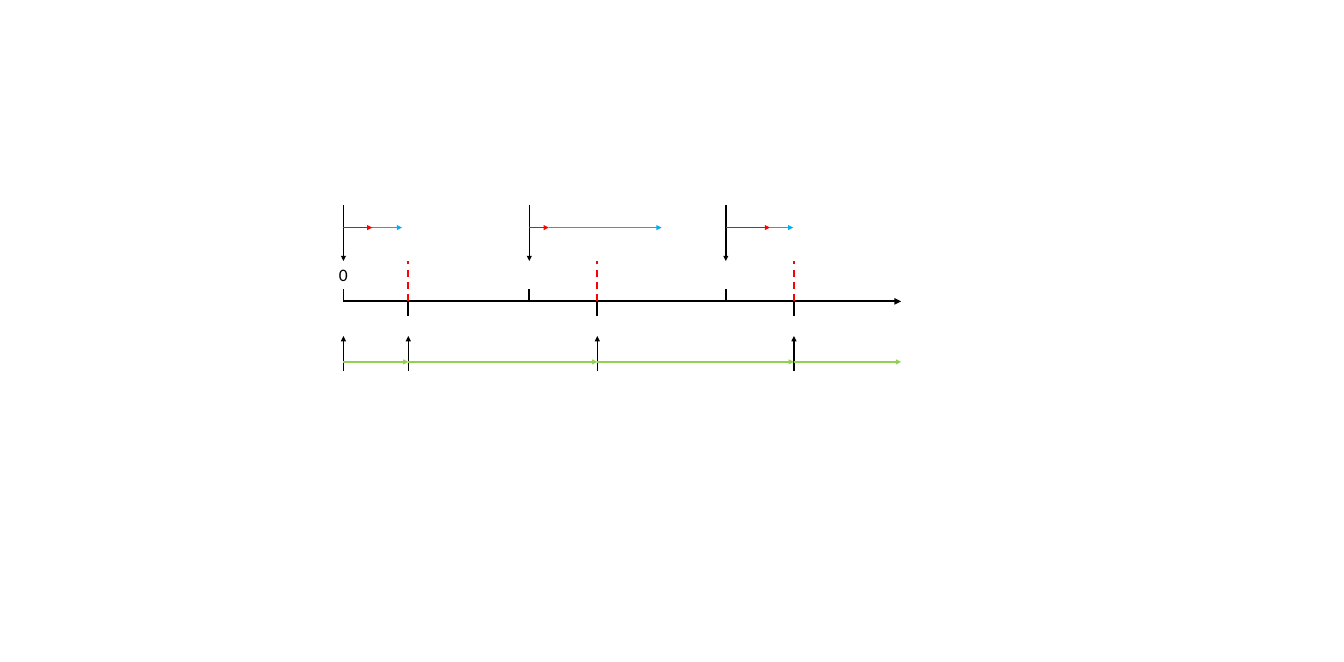
from lxml import etree
from pptx import Presentation
from pptx.dml.color import RGBColor
from pptx.enum.dml import MSO_LINE
from pptx.enum.shapes import MSO_CONNECTOR
from pptx.oxml.ns import qn
from pptx.util import Inches, Pt

STRAIGHT = MSO_CONNECTOR.STRAIGHT
DASH = MSO_LINE.DASH
BLACK = RGBColor(0x00, 0x00, 0x00)
RED = RGBColor(0xFF, 0x00, 0x00)
BLUE = RGBColor(0x00, 0xB0, 0xF0)
GREEN = RGBColor(0x92, 0xD0, 0x50)

ARRIVAL_COLUMNS = [5.45, 8.4, 11.52]
UPDATE_COLUMNS = [6.48, 9.48, 12.6]
AXIS_END = 14.3
ARRIVAL_ROW = 3.25
DELAY_ROW = 3.61
MARK_ROW = 4.14
AXIS_ROW = 4.78
UPDATE_ROW = 5.33
INTERVAL_ROW = 5.74
BOTTOM_ROW = 5.89
TICK_UP = 0.2
TICK_DOWN = 0.23

deck = Presentation()
deck.slide_width = Inches(21.33)
deck.slide_height = Inches(10.5)
page = deck.slides.add_slide(deck.slide_layouts[6])


def add_line(left, top, right, bottom, color, width, arrow=False):
    connector = page.shapes.add_connector(
        STRAIGHT, Inches(left), Inches(top), Inches(right), Inches(bottom))
    connector.line.color.rgb = color
    connector.line.width = Pt(width)
    if arrow:
        outline = connector.line._get_or_add_ln()
        etree.SubElement(outline, qn("a:tailEnd"), type="triangle")
    etree.SubElement(connector._element.spPr, qn("a:effectLst"))
    return connector


start = ARRIVAL_COLUMNS[0]
add_line(start, AXIS_ROW, AXIS_END, AXIS_ROW, BLACK, 2.5, True)

for column in ARRIVAL_COLUMNS:
    add_line(column, AXIS_ROW, column, AXIS_ROW - TICK_UP, BLACK, 2)
    add_line(column, ARRIVAL_ROW, column, MARK_ROW, BLACK, 1.5, True)

for column in UPDATE_COLUMNS:
    add_line(column, AXIS_ROW, column, AXIS_ROW + TICK_DOWN, BLACK, 2)
    deadline = add_line(column, AXIS_ROW, column, MARK_ROW, RED, 2)
    deadline.line.dash_style = DASH

for column in [start] + UPDATE_COLUMNS:
    add_line(column, BOTTOM_ROW, column, UPDATE_ROW, BLACK, 1.5, True)

label = page.shapes.add_textbox(
    Inches(5.28), Inches(MARK_ROW), Inches(0.37), Inches(0.44))
label.text_frame.word_wrap = True
para = label.text_frame.paragraphs[0]
origin = para.add_run()
origin.text = "0"
origin.font.name = "Calibri"
origin.font.size = Pt(20)
origin.font.color.rgb = BLACK

delays = zip(ARRIVAL_COLUMNS, [5.91, 8.71, 12.22], [6.38, 10.5, 12.59])
for arrival, middle, finish in delays:
    add_line(middle, DELAY_ROW, finish, DELAY_ROW, BLUE, 1.5, True)
    add_line(arrival, DELAY_ROW, middle, DELAY_ROW, RED, 1.5, True)

interval_stops = [start] + UPDATE_COLUMNS + [AXIS_END]
for left, right in zip(interval_stops, interval_stops[1:]):
    add_line(left, INTERVAL_ROW, right, INTERVAL_ROW, GREEN, 1.5, True)

deck.save("out.pptx")
